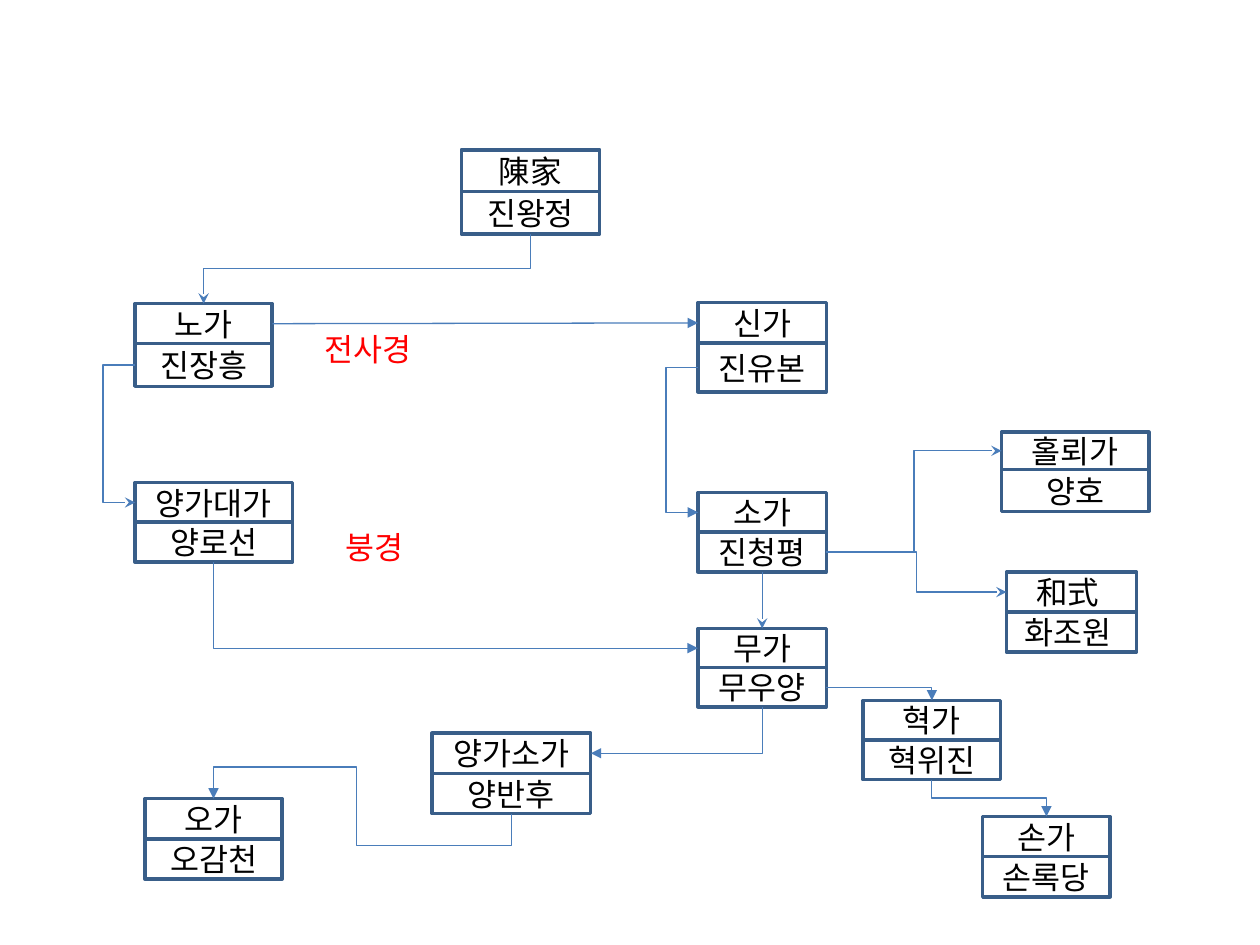
from lxml.etree import SubElement
from pptx import Presentation
from pptx.dml.color import RGBColor
from pptx.enum.shapes import MSO_CONNECTOR as CXN, MSO_SHAPE
from pptx.enum.text import MSO_ANCHOR, PP_ALIGN
from pptx.oxml.ns import qn
from pptx.util import Cm, Pt

THEME = {
    "font": "Noto Sans CJK KR", "size": Pt(18),
    "text": RGBColor(0x00, 0x00, 0x00), "accent": RGBColor(0xFF, 0x00, 0x00),
    "border": RGBColor(0x39, 0x5E, 0x89), "border_w": Pt(2),
    "link": RGBColor(0x4A, 0x7D, 0xBA), "link_w": Pt(0.75),
}
DETOUR = Cm(0.64)  # how far a looping link swings out
TOP, LEFT, BOTTOM, RIGHT = range(4)

# School, master, left, top, width, height of each of the two cells (cm)
SCHOOLS = [
    ("陳家", "진왕정", 9.3, 3.02, 2.79, 0.84, 0.86),
    ("노가", "진장흥", 2.72, 6.12, 2.77, 0.81, 0.86),
    ("신가", "진유본", 14.07, 6.1, 2.59, 0.82, 0.98),
    ("양가대가", "양로선", 2.72, 9.73, 3.18, 0.8, 0.8),
    ("소가", "진청평", 14.07, 9.93, 2.59, 0.8, 0.8),
    ("홀뢰가", "양호", 20.19, 8.71, 2.97, 0.76, 0.84),
    ("和式 ", "화조원 ", 20.29, 11.53, 2.62, 0.81, 0.81),
    ("무가", "무우양", 14.07, 12.67, 2.59, 0.79, 0.79),
    ("양가소가", "양반후", 8.71, 14.78, 3.2, 0.81, 0.81),
    ("혁가", "혁위진", 17.4, 14.12, 2.77, 0.8, 0.8),
    ("오가", "오감천", 2.92, 16.1, 2.77, 0.81, 0.81),
    ("손가", "손록당", 19.81, 16.46, 2.57, 0.81, 0.81),
]
# Text, left, top, width, height (cm)
LABELS = [("전사경", 6.3, 6.53, 2.44, 1.02), ("붕경", 6.71, 10.52, 1.8, 1.02)]
# From cell, side, to cell, side, arrowhead
LINKS = [
    ("진왕정", BOTTOM, "노가", TOP, "stealth"),
    ("진장흥", LEFT, "양가대가", LEFT, "stealth"),
    ("진청평", RIGHT, "홀뢰가", LEFT, "stealth"),
    ("진청평", RIGHT, "和式 ", LEFT, "stealth"),
    ("진청평", BOTTOM, "무가", TOP, "stealth"),
    ("노가", RIGHT, "신가", LEFT, "triangle"),
    ("진유본", LEFT, "소가", LEFT, "triangle"),
    ("양로선", BOTTOM, "무가", LEFT, "triangle"),
    ("무우양", BOTTOM, "양가소가", RIGHT, "triangle"),
    ("무우양", RIGHT, "혁가", TOP, "triangle"),
    ("혁위진", BOTTOM, "손가", TOP, "triangle"),
    ("양반후", BOTTOM, "오가", TOP, "triangle"),
]


def add_text(tf, text, color):
    r = tf.paragraphs[0].add_run()
    r.text = text
    r.font.size, r.font.name = THEME["size"], THEME["font"]
    r.font.color.rgb = color
    SubElement(r._r.get_or_add_rPr(), qn("a:ea"), typeface=THEME["font"])


def add_cell(shapes, text, x, y, w, h):
    sp = shapes.add_shape(MSO_SHAPE.RECTANGLE, Cm(x), Cm(y), Cm(w), Cm(h))
    sp.shadow.inherit = False
    sp.fill.background()
    sp.line.color.rgb, sp.line.width = THEME["border"], THEME["border_w"]
    tf = sp.text_frame
    tf.vertical_anchor = MSO_ANCHOR.MIDDLE
    tf.paragraphs[0].alignment = PP_ALIGN.CENTER
    add_text(tf, text, THEME["text"])
    return sp


def side_point(sp, side):
    fx, fy = [(0.5, 0), (0, 0.5), (0.5, 1), (1, 0.5)][side]
    return sp.left + int(sp.width * fx), sp.top + int(sp.height * fy)


def bend(cxn, p1, side1, p2, side2):
    """Give an elbow its frame, turn and bends; it leaves along side1."""
    (x1, y1), (x2, y2) = p1, p2
    upright = side1 in (TOP, BOTTOM)
    dx, dy = x2 - x1, y2 - y1
    along, across = (dy, -dx) if upright else (dx, dy)
    w, h = max(abs(along), Cm(0.01)), abs(across)
    cxn.left, cxn.top = (x1 + x2 - w) // 2, (y1 + y2 - h) // 2
    cxn.width, cxn.height = w, h
    xfrm = cxn._element.spPr.find(qn("a:xfrm"))
    xfrm.set("rot", "5400000" if upright else "0")
    xfrm.set("flipH", str(int(along < 0)))
    xfrm.set("flipV", str(int(across < 0)))

    swing = DETOUR / w
    if side1 % 2 != side2 % 2:
        kind, bends = "bentConnector2", []
    elif side1 == side2:
        kind, bends = "bentConnector3", [-swing]
    elif upright and along < 0:
        kind, bends = "bentConnector5", [-swing, 0.52, 1 + swing]
    else:
        kind, bends = "bentConnector3", [0.5]
    geom = cxn._element.spPr.find(qn("a:prstGeom"))
    geom.set("prst", kind)
    av = geom.find(qn("a:avLst"))
    if av is None:
        av = SubElement(geom, qn("a:avLst"))
    for i, value in enumerate(bends, 1):
        SubElement(av, qn("a:gd"), name=f"adj{i}", fmla=f"val {round(value * 100000)}")


def add_link(shapes, start, side1, end, side2, head):
    p1, p2 = side_point(start, side1), side_point(end, side2)
    straight = side1 != side2 and min(abs(p1[0] - p2[0]), abs(p1[1] - p2[1])) < Cm(0.05)
    cxn = shapes.add_connector(CXN.STRAIGHT if straight else CXN.ELBOW, *p1, *p2)
    cxn.begin_connect(start, side1)
    cxn.end_connect(end, side2)
    if not straight:
        bend(cxn, p1, side1, p2, side2)
    cxn.line.color.rgb, cxn.line.width = THEME["link"], THEME["link_w"]
    SubElement(cxn.line._get_or_add_ln(), qn("a:tailEnd"), type=head)
    SubElement(cxn._element.spPr, qn("a:effectLst"))


def main():
    prs = Presentation()
    prs.slide_width, prs.slide_height = Cm(25.4), Cm(19.05)
    shapes = prs.slides.add_slide(prs.slide_layouts[6]).shapes

    # Schools: name above, master below
    cells = {}
    for school, master, x, y, w, h1, h2 in SCHOOLS:
        cells[school] = add_cell(shapes, school, x, y, w, h1)
        cells[master] = add_cell(shapes, master, x, y + h1, w, h2)

    # Lines of descent
    for start, side1, end, side2, head in LINKS:
        add_link(shapes, cells[start], side1, cells[end], side2, head)

    # Red labels
    for text, *box in LABELS:
        tf = shapes.add_textbox(*map(Cm, box)).text_frame
        tf.word_wrap = True
        add_text(tf, text, THEME["accent"])

    prs.save("out.pptx")


if __name__ == "__main__":
    main()
